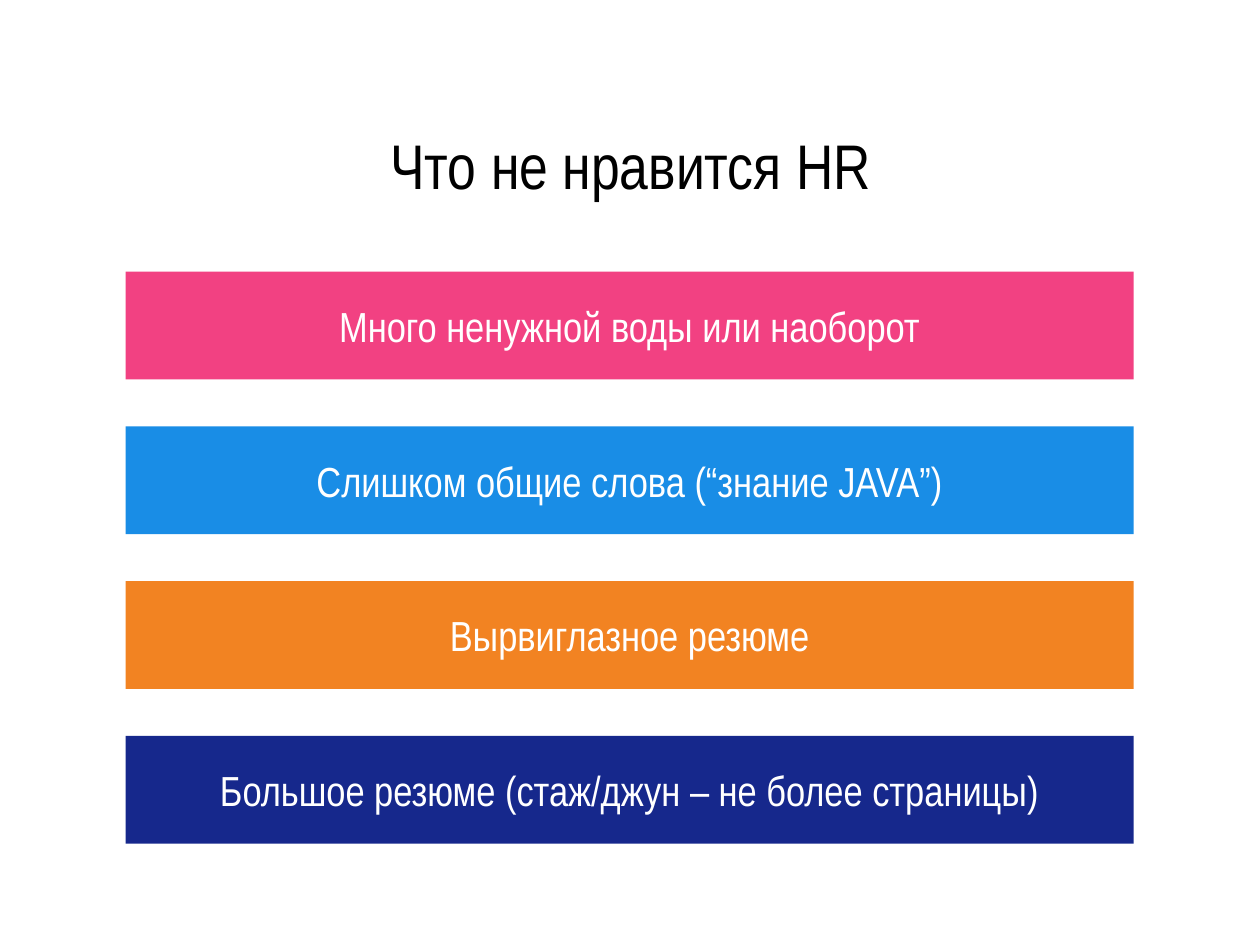
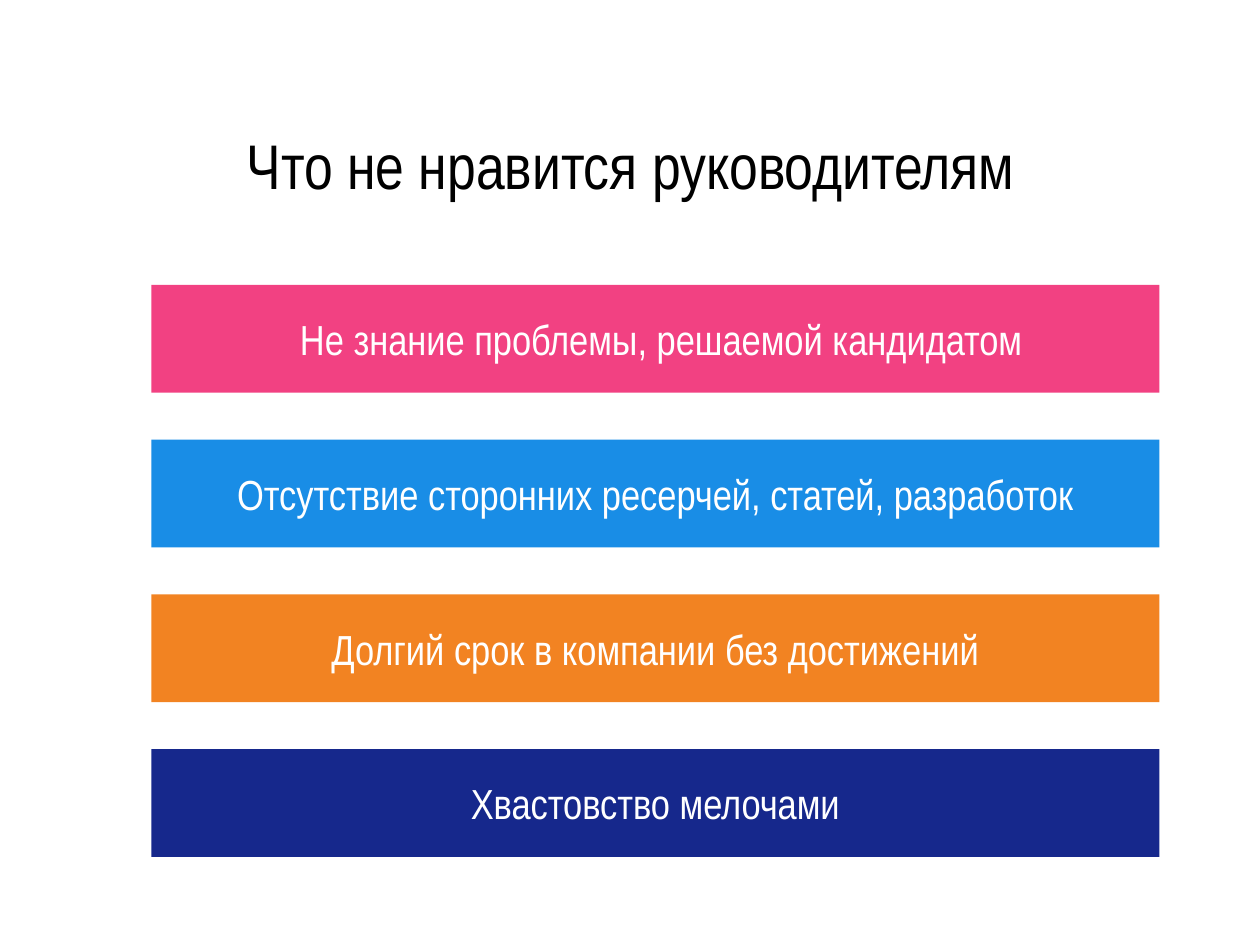
import dataclasses

import pptx
import pptx.dml.color
import pptx.enum.shapes
import pptx.enum.text
import pptx.shapes.autoshape
import pptx.slide
import pptx.util
from pptx.util import Cm

FONT = "Arial Narrow"
COLOURS = {
    "title": "000000",
    "bar text": "FFFFFF",
    "background": "FFFFFF",
    "pink": "F24182",
    "blue": "198DE6",
    "orange": "F28322",
    "navy": "16288C",
}
BAR_COLOURS = ("pink", "blue", "orange", "navy")
BAR_WIDTH, BAR_HEIGHT, BAR_PITCH = 15.24, 1.63, 2.34


@dataclasses.dataclass(frozen=True)
class Complaint:
    text: str
    indent: float = 0


@dataclasses.dataclass(frozen=True)
class ComplaintSlide:
    title: str
    left: float
    top: float
    complaints: tuple[Complaint, ...]


SLIDES = (
    ComplaintSlide("Что не нравится HR", 1.9, 4.11, (
        Complaint("Много ненужной воды или наоборот"),
        Complaint("Слишком общие слова (“знание JAVA”)"),
        Complaint("Вырвиглазное резюме"),
        Complaint("Большое резюме (стаж/джун – не более страницы)"),
    )),
    ComplaintSlide("Что не нравится руководителям", 2.29, 4.31, (
        Complaint("Не знание проблемы, решаемой кандидатом", indent=0.18),
        Complaint("Отсутствие сторонних ресерчей, статей, разработок"),
        Complaint("Долгий срок в компании без достижений"),
        Complaint("Хвастовство мелочами"),
    )),
)


def rgb(name: str) -> pptx.dml.color.RGBColor:
    return pptx.dml.color.RGBColor.from_string(COLOURS[name])


def write(shape: pptx.shapes.autoshape.Shape, text: str, *, size: float,
          colour: str, inset: float, indent: float = 0) -> None:
    """Fill the shape with one centred paragraph; inset and indent are in cm."""
    frame = shape.text_frame
    frame.word_wrap = True
    frame.vertical_anchor = pptx.enum.text.MSO_ANCHOR.MIDDLE
    frame.margin_left = frame.margin_right = Cm(inset)
    frame.margin_top = frame.margin_bottom = Cm(inset)
    paragraph = frame.paragraphs[0]
    paragraph.alignment = pptx.enum.text.PP_ALIGN.CENTER
    if indent:
        paragraph._p.get_or_add_pPr().set("marL", str(Cm(indent)))
    run = paragraph.add_run()
    run.text = text
    run.font.name = FONT
    run.font.size = pptx.util.Pt(size)
    run.font.color.rgb = rgb(colour)


def add_title(slide: pptx.slide.Slide, text: str) -> None:
    title = slide.shapes.add_textbox(Cm(0.66), Cm(1.32), Cm(17.75), Cm(2.34))
    write(title, text, size=27, colour="title", inset=0.25)


def add_bar(slide: pptx.slide.Slide, complaint: Complaint, left: float,
            top: float, colour: str) -> None:
    bar = slide.shapes.add_shape(
        pptx.enum.shapes.MSO_SHAPE.RECTANGLE,
        Cm(left), Cm(top), Cm(BAR_WIDTH), Cm(BAR_HEIGHT))
    bar.shadow.inherit = False
    bar.fill.solid()
    bar.fill.fore_color.rgb = rgb(colour)
    bar.line.fill.background()
    write(bar, complaint.text, size=18, colour="bar text", inset=0.18,
          indent=complaint.indent)


def main() -> None:
    deck = pptx.Presentation()
    deck.slide_width, deck.slide_height = Cm(19.05), Cm(14.29)
    background = deck.slide_master.background.fill
    background.solid()
    background.fore_color.rgb = rgb("background")
    for content in SLIDES:
        slide = deck.slides.add_slide(deck.slide_layouts[6])
        add_title(slide, content.title)
        for row, (complaint, colour) in enumerate(
                zip(content.complaints, BAR_COLOURS)):
            add_bar(slide, complaint, content.left,
                    content.top + row * BAR_PITCH, colour)
    deck.save("out.pptx")


if __name__ == "__main__":
    main()
